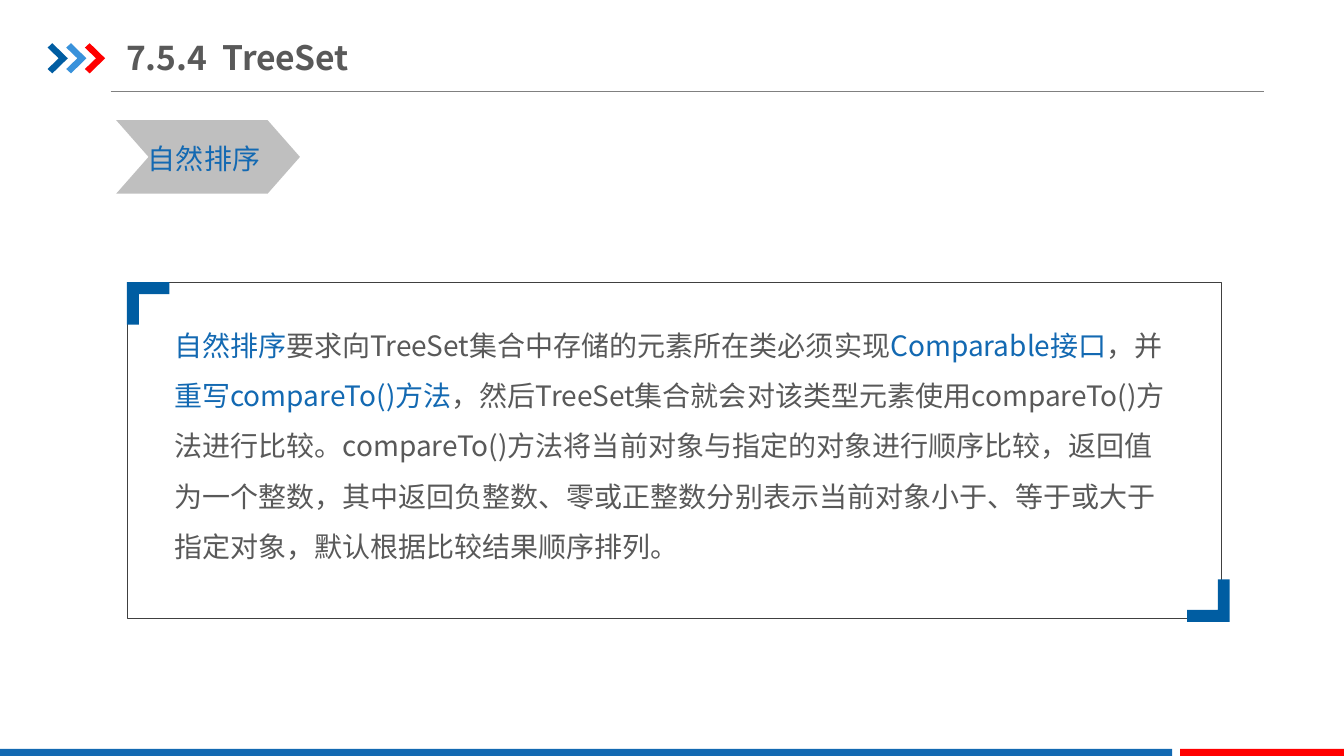
from dataclasses import dataclass, field
from typing import Any

from lxml.etree import SubElement
from pptx import Presentation
from pptx.dml.color import RGBColor as Rgb
from pptx.enum.shapes import MSO_CONNECTOR as Link, MSO_SHAPE as Kind
from pptx.enum.text import MSO_ANCHOR as Anchor, MSO_AUTO_SIZE as Auto
from pptx.oxml.ns import qn
from pptx.util import Cm, Pt


@dataclass(frozen=True)
class Theme:
    """Colours, font and type sizes of the slide."""
    navy: str = "005DA2"
    sky: str = "3992DB"
    red: str = "FF0000"
    blue: str = "1369B2"
    text: str = "595959"
    rule: str = "808080"
    edge: str = "404040"
    tag: str = "BFBFBF"
    font: str = "Noto Sans CJK SC"
    head: int = 24
    body: int = 20


@dataclass(frozen=True)
class Box:
    """A preset shape, in centimetres."""
    kind: Kind
    at: tuple[float, float, float, float]
    fill: str | None = None
    line: str | None = None
    adj: float | None = None


@dataclass(frozen=True)
class Form:
    """A closed outline, in centimetres from an origin."""
    x: float
    y: float
    pts: list[tuple[float, float]]
    fill: str
    sign: int = 1


@dataclass(frozen=True)
class Note:
    """A text box holding one paragraph of coloured runs."""
    at: tuple[float, float, float, float]
    runs: list[tuple[str, str]]
    size: int
    bold: bool = False
    space: float | None = None
    frame: dict[str, Any] = field(default_factory=dict)


THEME = Theme()
ARROW = [(0, 0.11), (0.12, 0), (0.51, 0.38), (0.12, 0.76), (0, 0.65), (0.28, 0.38)]
CORNER = [(0, 0), (1.07, 0), (1.07, 0.3), (0.3, 0.3), (0.3, 1.07), (0, 1.07)]

BOXES = [
    Box(Kind.RECTANGLE, (0, 18.87, 29.54, 0.18), THEME.blue),
    Box(Kind.RECTANGLE, (29.74, 18.87, 4.13, 0.18), THEME.red),
    Box(Kind.CHEVRON, (2.93, 3.03, 4.63, 1.85), THEME.tag, adj=0.44),
    Box(Kind.ROUNDED_RECTANGLE, (3.2, 7.11, 27.58, 8.46), line=THEME.edge, adj=0),
]
FORMS = [
    Form(1.2 + 0.47 * i, 1.09, ARROW, tone)
    for i, tone in enumerate((THEME.navy, THEME.sky, THEME.red))
] + [
    Form(3.2, 7.11, CORNER, THEME.navy),
    Form(30.99, 15.67, CORNER, THEME.navy, -1),
]
NOTES = [
    Note((3.18, 0.74, 12.98, 1.4), [("7.5.4  TreeSet", THEME.text)], THEME.head, True,
         frame={"word_wrap": True, "vertical_anchor": Anchor.MIDDLE,
                "margin_left": 0, "margin_right": 0}),
    Note((3.48, 3.43, 3.33, 1.12), [("自然排序", THEME.blue)], THEME.body,
         frame={"word_wrap": False, "auto_size": Auto.SHAPE_TO_FIT_TEXT}),
    Note((4.14, 7.72, 25.6, 7.47), [
        ("自然排序", THEME.blue),
        ("要求向TreeSet集合中存储的元素所在类必须实现", THEME.text),
        ("Comparable接口", THEME.blue),
        ("，并", THEME.text),
        ("重写compareTo()方法", THEME.blue),
        ("，然后TreeSet集合就会对该类型元素使用compareTo()方法进行比较。"
         "compareTo()方法将当前对象与指定的对象进行顺序比较，返回值为一个整数，"
         "其中返回负整数、零或正整数分别表示当前对象小于、等于或大于指定对象，"
         "默认根据比较结果顺序排列。", THEME.text),
    ], THEME.body, space=1.5, frame={"word_wrap": True}),
]


def assign(item: Any, vals: dict[str, Any]) -> None:
    """Set each named attribute on an object."""
    for key, val in vals.items():
        setattr(item, key, val)


def paint(shape: Any, fill: str | None, line: str | None = None) -> None:
    """Give a shape its fill and outline, without shadow."""
    shape.shadow.inherit = False
    if fill:
        shape.fill.solid()
        shape.fill.fore_color.rgb = Rgb.from_string(fill)
    else:
        shape.fill.background()
    if line:
        shape.line.color.rgb = Rgb.from_string(line)
        shape.line.width = Pt(0.25)
    else:
        shape.line.fill.background()


def draw_box(slide: Any, box: Box) -> None:
    """Draw a preset shape."""
    shape = slide.shapes.add_shape(box.kind, *map(Cm, box.at))
    if box.adj is not None:
        shape.adjustments[0] = box.adj
    paint(shape, box.fill, box.line)


def draw_form(slide: Any, form: Form) -> None:
    """Draw a closed outline."""
    pts = [(Cm(form.x + form.sign * x), Cm(form.y + form.sign * y)) for x, y in form.pts]
    pen = slide.shapes.build_freeform(*pts[0])
    pen.add_line_segments(pts[1:], close=True)
    paint(pen.convert_to_shape(), form.fill)


def draw_note(slide: Any, note: Note) -> None:
    """Draw a text box."""
    frame = slide.shapes.add_textbox(*map(Cm, note.at)).text_frame
    assign(frame, note.frame)
    para = frame.paragraphs[0]
    para.line_spacing = note.space
    for text, tone in note.runs:
        run = para.add_run()
        run.text = text
        assign(run.font, {"name": THEME.font, "size": Pt(note.size), "bold": note.bold})
        run.font.color.rgb = Rgb.from_string(tone)
        SubElement(run.font._element, qn("a:ea"), typeface=THEME.font)


def draw_rule(slide: Any) -> None:
    """Draw the line below the title."""
    rule = slide.shapes.add_connector(Link.STRAIGHT, Cm(2.79), Cm(2.31), Cm(31.85), Cm(2.31))
    rule.line.color.rgb = Rgb.from_string(THEME.rule)
    rule.line.width = Pt(0.75)
    SubElement(rule._element.spPr, qn("a:effectLst"))


def main() -> None:
    """Build and save the slide."""
    deck = Presentation()
    assign(deck, {"slide_width": Cm(33.87), "slide_height": Cm(19.05)})
    slide = deck.slides.add_slide(deck.slide_layouts[6])
    draw_rule(slide)
    for box in BOXES:
        draw_box(slide, box)
    for form in FORMS:
        draw_form(slide, form)
    for note in NOTES:
        draw_note(slide, note)
    deck.save("out.pptx")


if __name__ == "__main__":
    main()
